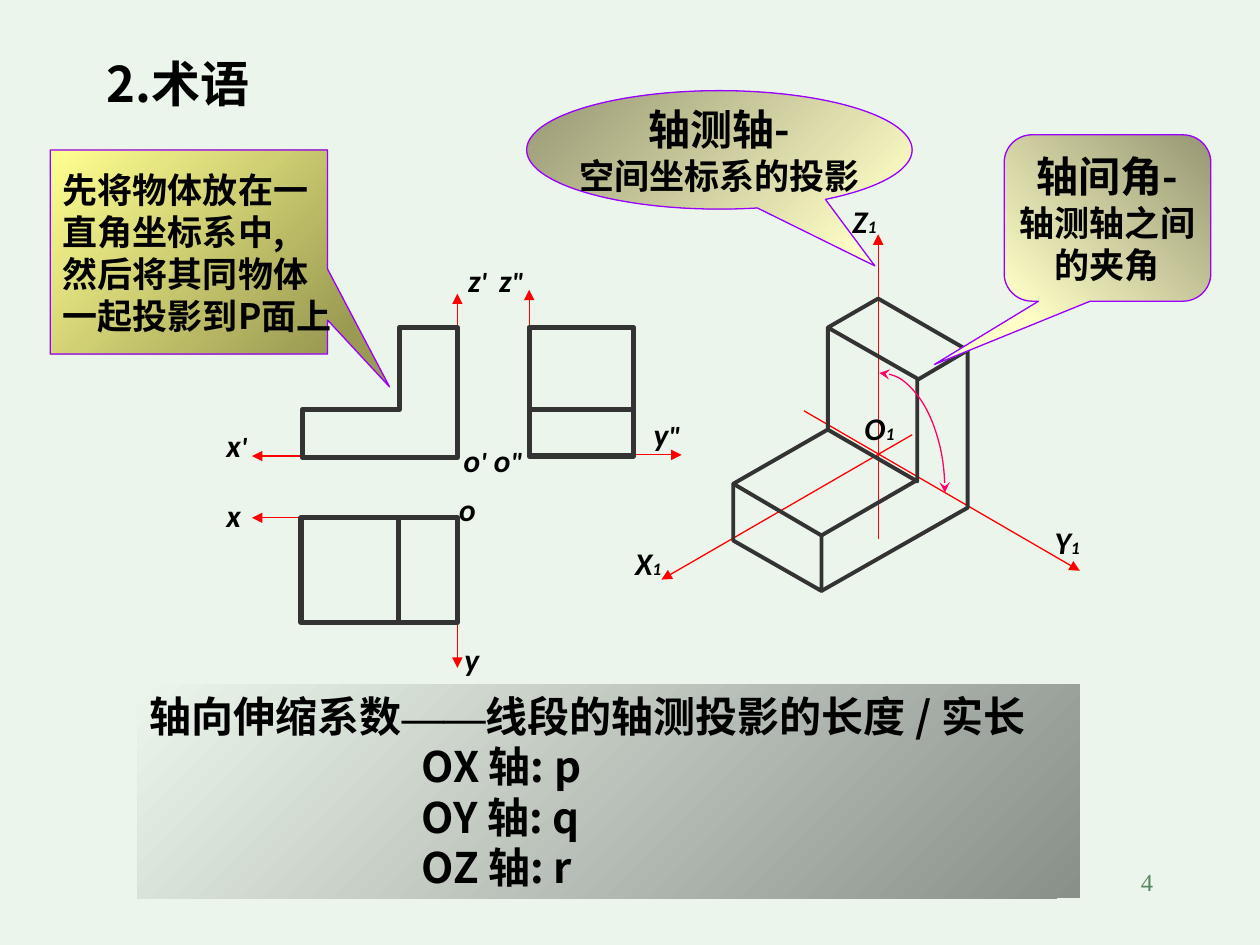
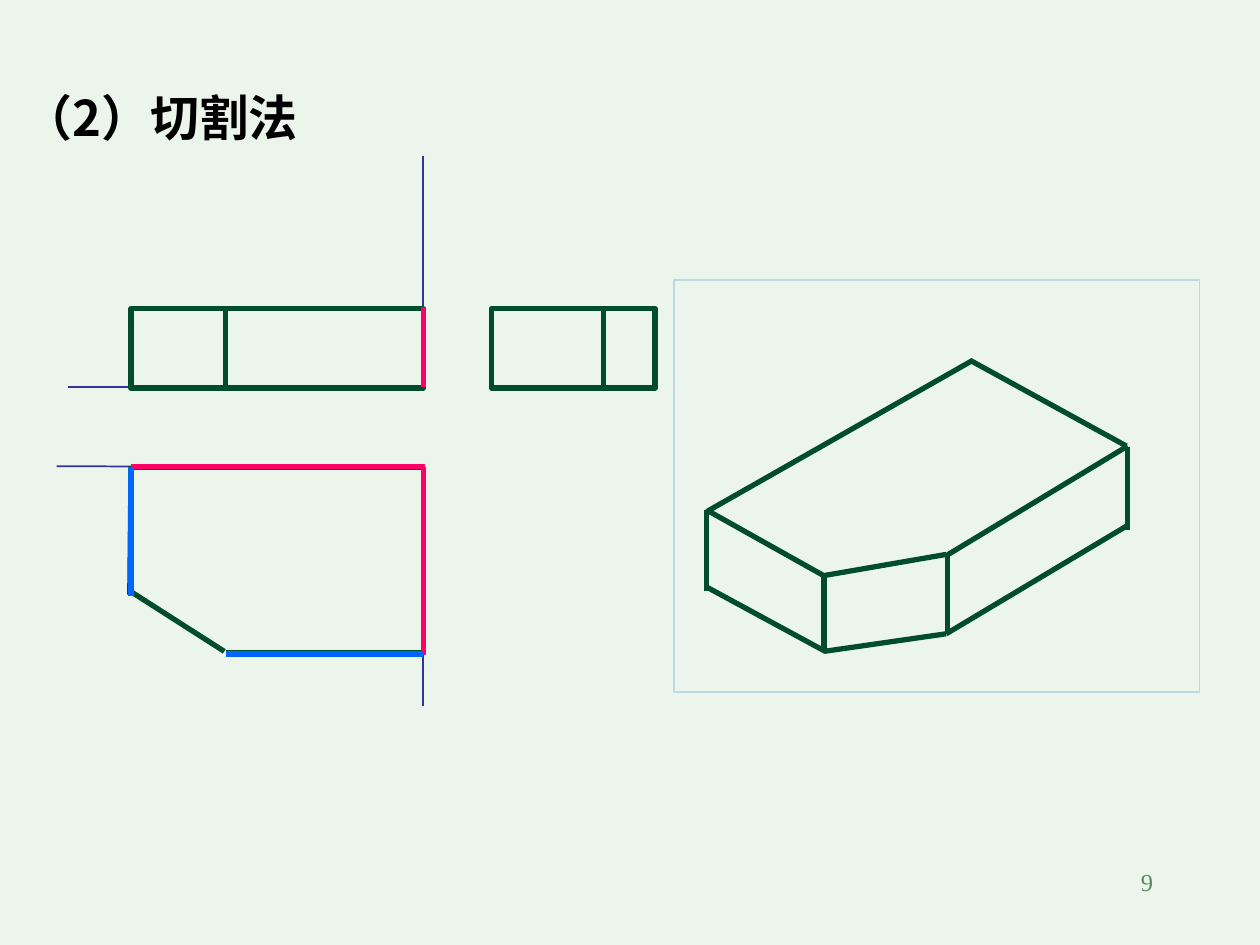
"""Two slides on axonometric projection: terms, and the cutting method."""
from lxml import etree
from pptx import Presentation
from pptx.dml.color import RGBColor
from pptx.enum import shapes, text
from pptx.oxml import ns
from pptx.util import Inches, Pt

MINT = RGBColor(0xEC, 0xF5, 0xEC)
BLACK = RGBColor(0, 0, 0)
PAGE_GREEN = RGBColor(0x57, 0x89, 0x63)
RED = RGBColor(0xFF, 0, 0)
GRAY = RGBColor(0x33, 0x33, 0x33)
GREEN = RGBColor(0, 0x4C, 0x2B)
PINK = RGBColor(0xFF, 0, 0x66)
BLUE = RGBColor(0, 0x66, 0xFF)
NAVY = RGBColor(0x33, 0x33, 0x99)
PALE_BLUE = RGBColor(0xBD, 0xD7, 0xE5)
PURPLE = RGBColor(0x99, 0, 0xFF)
OLIVE, YELLOW = RGBColor(0x9A, 0x9A, 0x52), RGBColor(0xFF, 0xFF, 0x91)
KHAKI, CREAM = RGBColor(0x97, 0x97, 0x74), RGBColor(0xFF, 0xFF, 0xC8)
SMOKE = RGBColor(0x89, 0x8F, 0x89)

CJK, LABEL, SERIF = "Noto Sans CJK SC", "Calibri", "Times New Roman"
LEFT, CENTER, RIGHT = text.PP_ALIGN.LEFT, text.PP_ALIGN.CENTER, text.PP_ALIGN.RIGHT
SHAPE = shapes.MSO_SHAPE

VIEW_AXES = [
    ((3.61, 3.62), (2, 3.62)), ((3.63, 3.62), (3.63, 2.33)),
    ((3.6, 4.11), (2, 4.11)), ((3.63, 4.11), (3.63, 5.3)),
    ((4.2, 3.59), (4.2, 2.3)), ((4.23, 3.61), (5.41, 3.61)),
]
SPACE_AXES = [
    ((6.97, 4.28), (6.97, 1.86)), ((7.24, 3.45), (5.25, 4.6)),
    ((6.38, 3.26), (8.57, 4.53)),
]
FRONT_VIEW = [(3.63, 3.63), (2.4, 3.63), (2.4, 3.25), (3.17, 3.25),
              (3.17, 2.6), (3.63, 2.6), (3.63, 3.63)]
VIEW_RECTS = [(2.39, 4.11, 1.24, 0.83), (4.2, 2.6, 0.83, 1.02)]
VIEW_EDGES = [((3.16, 4.11), (3.16, 4.94)), ((4.2, 3.25), (5.03, 3.25))]
L_BLOCK = [
    [(6.57, 2.6), (6.97, 2.37), (7.68, 2.78), (7.29, 3.01), (6.57, 2.6)],
    [(6.57, 2.6), (6.57, 3.41), (7.28, 3.82), (7.28, 3)],
    [(6.57, 3.41), (5.82, 3.84), (6.52, 4.25), (7.28, 3.81)],
    [(5.82, 3.84), (5.82, 4.29), (6.52, 4.69), (6.52, 4.25)],
    [(6.52, 4.69), (7.68, 4.03), (7.68, 2.78)],
]
AXIS_LABELS = [
    (3.54, 3.84, 0.34, [("o", 18)]),
    (1.62, 3.33, 0.52, [("x", 18), ("'", 16)]),
    (1.69, 3.89, 0.33, [("x", 18)]),
    (3.59, 2.02, 0.4, [("z", 18), ("'", 16)]),
    (3.86, 2.02, 0.4, [("z", 18), ('"', 16)]),
    (5.08, 3.24, 0.43, [("y", 18), ('"', 16)]),
    (3.58, 5.03, 0.33, [("y", 18)]),
    (3.56, 3.45, 0.71, [("o", 18), ("'", 16), (" o", 18), ('"', 16)]),
    (6.75, 3.2, 0.46, [("O", 18), ("1", 10)]),
    (4.93, 4.27, 0.43, [("X", 18), ("1", 10)]),
    (8.27, 4.1, 0.4, [("Y", 18), ("1", 10)]),
    (6.6, 1.55, 0.52, [("Z", 18), ("1", 10)]),
]
PLACING_CALLOUT = (
    SHAPE.RECTANGULAR_CALLOUT, (0.4, 1.19, 2.2, 1.62), (0.724, 0.661),
    (OLIVE, YELLOW, 225), LEFT,
    [("先将物体放在一", 20), ("直角坐标系中,", 20),
     ("然后将其同物体", 20), ("一起投影到P面上", 20)])
ANGLE_CALLOUT = (
    SHAPE.ROUNDED_RECTANGULAR_CALLOUT, (7.97, 1.07, 1.64, 1.32),
    (-0.838, 0.881, 0.167), (KHAKI, CREAM, 135), CENTER,
    [("轴间角-", 24), ("轴测轴之间", 20), ("的夹角", 20)])
AXES_CALLOUT = (
    SHAPE.OVAL_CALLOUT, (4.18, 0.72, 3.06, 0.94), (0.403, 0.979),
    (KHAKI, CREAM, 45), CENTER, [("轴测轴-", 24), ("空间坐标系的投影", 20)])
RATIO_TITLE = [("轴向伸缩系数", CJK), ("——", SERIF), ("线段的轴测投影的长度 / 实长", CJK)]
RATIOS = ["OX 轴: p", "OY 轴: q", "OZ 轴: r"]

GUIDES = [((3.36, 3.69), (3.36, 5.6)), ((3.36, 3.71), (0.45, 3.7)),
          ((3.36, 3.07), (3.36, 1.24)), ((3.38, 3.07), (0.54, 3.07))]
CUT_RECTS = [(1.04, 2.45, 2.32, 0.63), (3.9, 2.45, 1.3, 0.63)]
CUT_EDGES = [((1.79, 3.08), (1.79, 2.45)), ((4.79, 3.08), (4.79, 2.45))]
CUT_PLAN = [((1.04, 3.71), (3.36, 3.71)), ((3.36, 3.71), (3.36, 5.2)),
            ((3.36, 5.18), (1.79, 5.18)), ((1.78, 5.17), (1.03, 4.69)),
            ((1.03, 4.72), (1.04, 3.7))]
PINK_EDGES = [((3.37, 3.7), (1.04, 3.7)), ((3.36, 3.71), (3.36, 5.2)),
              ((3.36, 3.07), (3.36, 2.44))]
BLUE_EDGES = [((3.36, 5.19), (1.79, 5.19)), ((1.04, 3.71), (1.04, 4.73))]
PANEL = (5.35, 2.22, 4.17, 3.27)
CUT_BLOCK = [
    ((5.61, 4.69), (5.61, 4.05)), ((8.95, 4.21), (8.95, 3.55)),
    ((7.72, 2.86), (5.61, 4.06)), ((7.7, 2.86), (8.94, 3.54)),
    ((5.63, 4.06), (6.54, 4.57)), ((8.95, 3.54), (7.51, 4.41)),
    ((6.54, 4.57), (6.54, 5.17)), ((6.53, 4.57), (7.51, 4.4)),
    ((6.54, 5.17), (7.51, 5.03)), ((7.52, 4.4), (7.52, 5.03)),
    ((5.61, 4.66), (6.55, 5.17)), ((8.95, 4.17), (7.51, 5.03)),
]


def inches(values):
    return [Inches(v) for v in values]


def set_font(font, size, face, color=BLACK, bold=True, italic=False):
    font.size, font.bold, font.italic = Pt(size), bold, italic
    font.color.rgb = color
    font.name = face
    etree.SubElement(font._rPr, ns.qn("a:ea")).set("typeface", face)


def set_frame(sp, wrap, anchor=text.MSO_ANCHOR.MIDDLE):
    tf = sp.text_frame
    tf.word_wrap, tf.vertical_anchor = wrap, anchor
    return tf


def next_paragraph(tf, first, align):
    p = tf.paragraphs[0] if first else tf.add_paragraph()
    p.alignment = align
    return p


def add_text(s, box, words, size, face, align=LEFT, wrap=True, **look):
    tf = set_frame(s.shapes.add_textbox(*inches(box)), wrap)
    p = next_paragraph(tf, True, align)
    p.text = words
    set_font(p.font, size, face, **look)


def add_label(s, left, top, width, runs):
    tf = set_frame(s.shapes.add_textbox(*inches((left, top, width, 0.4))), False)
    p = next_paragraph(tf, True, CENTER)
    set_font(p.font, 18, LABEL, italic=True)
    for words, size in runs:
        r = p.add_run()
        r.text = words
        r.font.size = Pt(size)


def set_line(sp, color, width, **ends):
    sp.line.color.rgb, sp.line.width = color, Pt(width)
    for end, kind in ends.items():
        etree.SubElement(sp.line._get_or_add_ln(), ns.qn(f"a:{end}")).set("type", kind)


def add_lines(s, segments, color, width, **ends):
    for start, end in segments:
        cxn = s.shapes.add_connector(shapes.MSO_CONNECTOR.STRAIGHT, *inches(start + end))
        set_line(cxn, color, width, **ends)
        etree.SubElement(cxn._element.spPr, ns.qn("a:effectLst"))


def add_outline(s, points, color, width):
    start, *rest = [tuple(inches(point)) for point in points]
    builder = s.shapes.build_freeform(*start)
    builder.add_line_segments(rest, close=points[0] == points[-1])
    sp = builder.convert_to_shape()
    sp.shadow.inherit = False
    sp.fill.background()
    set_line(sp, color, width)


def add_preset(s, kind, box):
    sp = s.shapes.add_shape(kind, *inches(box))
    sp.shadow.inherit = False
    sp.fill.background()
    return sp


def add_rects(s, boxes, color, width):
    for box in boxes:
        set_line(add_preset(s, SHAPE.RECTANGLE, box), color, width)


def set_gradient(sp, start, end, clockwise):
    sp.fill.gradient()
    sp.fill.gradient_angle = 360 - clockwise
    for stop, color in zip(sp.fill.gradient_stops, (start, end)):
        stop.color.rgb = color


def add_callout(s, kind, box, adjustments, gradient, align, rows):
    sp = add_preset(s, kind, box)
    for i, value in enumerate(adjustments):
        sp.adjustments[i] = value
    set_gradient(sp, *gradient)
    set_line(sp, PURPLE, 0.75)
    tf = set_frame(sp, False)
    for i, (words, size) in enumerate(rows):
        p = next_paragraph(tf, i == 0, align)
        p.text = words
        set_font(p.font, size, CJK)


def add_ratio_box(s):
    sp = add_preset(s, SHAPE.RECTANGLE, (1.09, 5.43, 7.48, 1.7))
    set_gradient(sp, SMOKE, MINT, 225)
    sp.line.fill.background()
    tf = set_frame(sp, True)
    p = next_paragraph(tf, True, LEFT)
    for words, face in RATIO_TITLE:
        r = p.add_run()
        r.text = words
        set_font(r.font, 24, face)
    for ratio in RATIOS:
        p = next_paragraph(tf, False, LEFT)
        p.text = ratio
        p._p.get_or_add_pPr().set("marL", str(Inches(2.16)))
        set_font(p.font, 24, CJK)


def new_slide(prs, title, title_box, number):
    s = prs.slides.add_slide(prs.slide_layouts[6])
    s.background.fill.solid()
    s.background.fill.fore_color.rgb = MINT
    add_text(s, title_box, title, 28, CJK)
    add_text(s, (7.17, 6.83, 2.08, 0.34), number, 14, SERIF, RIGHT,
             color=PAGE_GREEN, bold=False)
    return s


def terms_slide(prs):
    s = new_slide(prs, "2.术语", (0.75, 0.37, 2.05, 0.57), "4")
    add_lines(s, VIEW_AXES, RED, 0.75, tailEnd="triangle")
    add_outline(s, FRONT_VIEW, GRAY, 3)
    add_rects(s, VIEW_RECTS, GRAY, 3)
    add_lines(s, VIEW_EDGES, GRAY, 3)
    add_callout(s, *PLACING_CALLOUT)
    add_ratio_box(s)
    add_lines(s, SPACE_AXES, RED, 0.75, tailEnd="triangle")
    for face in L_BLOCK:
        add_outline(s, face, GRAY, 2.25)
    for label in AXIS_LABELS:
        add_label(s, *label)
    add_callout(s, *ANGLE_CALLOUT)
    arc = add_preset(s, SHAPE.ARC, (6.46, 2.96, 1.04, 1.9))
    set_line(arc, PINK, 0.75, headEnd="stealth", tailEnd="stealth")
    add_callout(s, *AXES_CALLOUT)


def cutting_slide(prs):
    s = new_slide(prs, "（2）切割法", (0.09, 0.64, 9.46, 0.57), "9")
    add_lines(s, GUIDES, NAVY, 1)
    add_lines(s, CUT_PLAN + CUT_EDGES, GREEN, 3)
    add_rects(s, CUT_RECTS, GREEN, 3)
    add_lines(s, PINK_EDGES, PINK, 3)
    add_lines(s, BLUE_EDGES, BLUE, 3)
    add_rects(s, [PANEL], PALE_BLUE, 1)
    add_lines(s, CUT_BLOCK, GREEN, 3)


def main():
    prs = Presentation()
    prs.slide_width, prs.slide_height = Inches(10), Inches(7.5)
    terms_slide(prs)
    cutting_slide(prs)
    prs.save("out.pptx")


if __name__ == "__main__":
    main()
